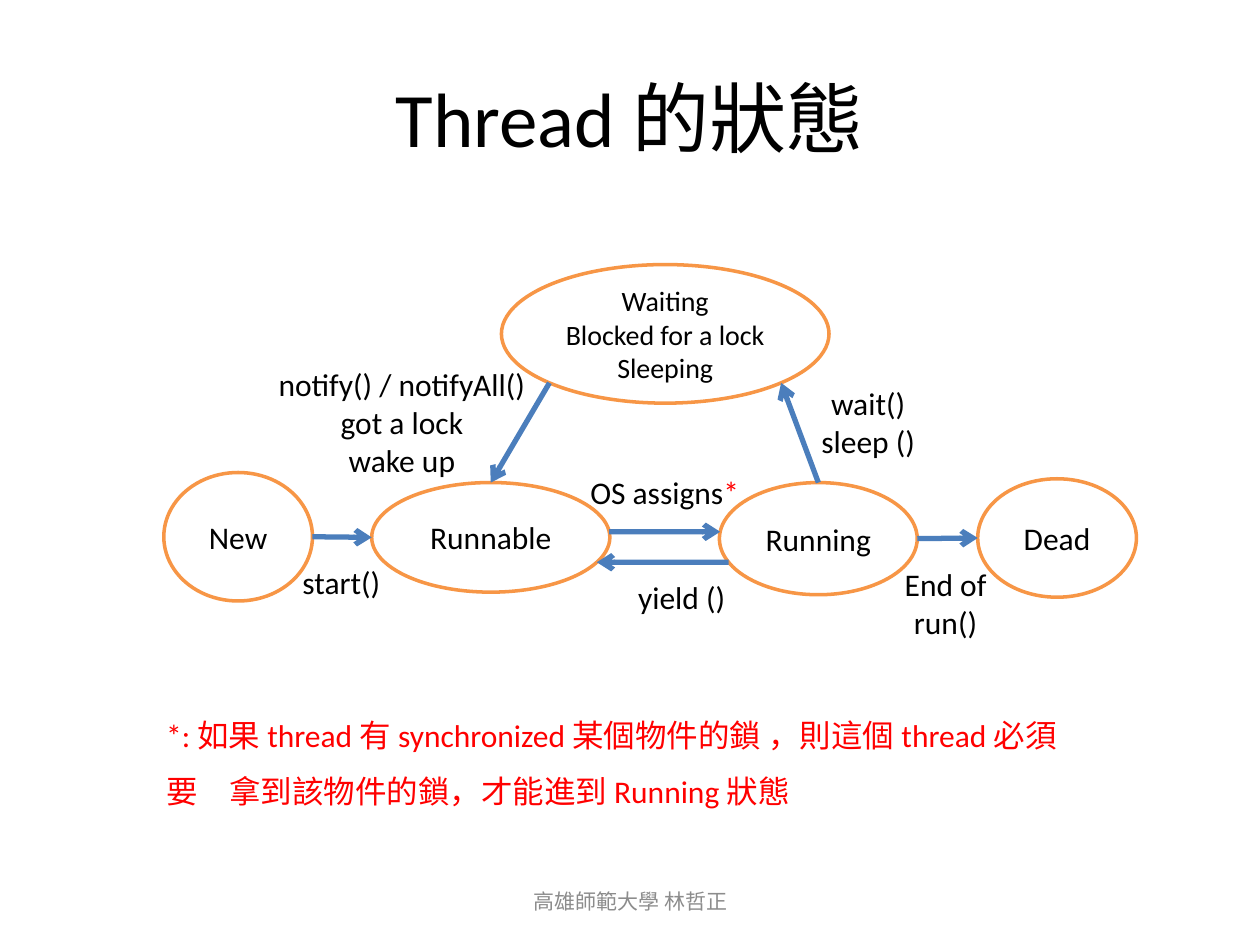
"""Build a slide showing the life cycle of a thread as a state diagram."""
import math

import lxml.etree
import pptx
import pptx.dml.color
import pptx.enum.shapes
import pptx.enum.text
import pptx.oxml.ns
import pptx.util

COLUMNS, ROWS = 100, 75
FONT = "Calibri"
COLORS = {"black": "000000", "white": "FFFFFF", "orange": "F79646",
          "blue": "4B7EBC", "red": "FF0000", "gray": "8C8C8C"}

STATES = {
    "new": ((13, 37.5, 11.8, 10.2), 18, ["New"]),
    "runnable": ((29.5, 38.3, 18.9, 8.7), 18, ["Runnable"]),
    "running": ((57.1, 38.3, 15.7, 8.9), 18, ["Running"]),
    "dead": ((77.6, 38, 12.6, 9.4), 18, ["Dead"]),
    "waiting": ((39.8, 21, 26, 11), 16, ["Waiting", "Blocked for a lock", "Sleeping"]),
}

# Each end is a state and a clockwise angle from its right-hand side.
TRANSITIONS = [
    (("running", 270), ("waiting", 45)),
    (("waiting", 135), ("runnable", 270)),
    (("new", 0), ("runnable", 180)),
    (("runnable", -6), ("running", 187)),
    (("running", 0), ("dead", 180)),
    (("running", 155), ("runnable", 27)),
]

LABELS = [
    ((5, 3, 90, 12.5), 44, [[("Thread 的狀態", "black")]]),
    ((61.8, 29.9, 14.2, 7.1), 18, [[("wait()", "black")], [("sleep ()", "black")]]),
    ((20.9, 28.8, 22, 9.4), 18, [[("notify() / notifyAll()", "black")],
                                 [("got a lock", "black")], [("wake up", "black")]]),
    ((22.4, 43.8, 9.4, 4.7), 18, [[("start()", "black")]]),
    ((70.7, 44.7, 8.7, 6.3), 18, [[("End of run()", "black")]]),
    ((47.4, 45, 13.4, 4.7), 18, [[("yield ()", "black")]]),
    ((44.5, 36.7, 16.5, 4.7), 18, [[("OS assigns", "black"), ("*", "red")]]),
    ((34.2, 69.5, 31.7, 4), 12, [[("高雄師範大學 林哲正", "gray")]]),
]

NOTE = ((12.2, 54.8, 76.4, 9.6), 18, [[(
    "*: 如果 thread 有 synchronized 某個物件的鎖 ，則這個 thread 必須要　拿到該物件的鎖，才能進到 Running 狀態",
    "red")]])


def rgb(name):
    """Return a named colour."""
    return pptx.dml.color.RGBColor.from_string(COLORS[name])


def to_slide(presentation, box):
    """Convert grid columns and rows to slide lengths."""
    units = (presentation.slide_width / COLUMNS, presentation.slide_height / ROWS)
    return [round(value * units[index % 2]) for index, value in enumerate(box)]


def write(shape, size, lines, centered=True, spacing=1.0):
    """Write lines of coloured runs into a shape."""
    frame = shape.text_frame
    frame.word_wrap = True
    anchor, align = pptx.enum.text.MSO_ANCHOR, pptx.enum.text.PP_ALIGN
    frame.vertical_anchor = anchor.MIDDLE if centered else anchor.TOP
    for index, line in enumerate(lines):
        paragraph = frame.add_paragraph() if index else frame.paragraphs[0]
        paragraph.alignment = align.CENTER if centered else align.LEFT
        paragraph.line_spacing = spacing
        for text, color in line:
            run = paragraph.add_run()
            run.text = text
            run.font.name = FONT
            run.font.size = pptx.util.Pt(size)
            run.font.color.rgb = rgb(color)


def add_state(presentation, slide, box, size, lines):
    """Draw one state as an outlined ellipse."""
    shape = slide.shapes.add_shape(
        pptx.enum.shapes.MSO_SHAPE.OVAL, *to_slide(presentation, box))
    shape.shadow.inherit = False
    shape.fill.solid()
    shape.fill.fore_color.rgb = rgb("white")
    shape.line.color.rgb = rgb("orange")
    shape.line.width = pptx.util.Pt(2)
    write(shape, size, [[(line, "black")] for line in lines])


def edge_point(state, angle):
    """Find the grid point on a state's outline at an angle in degrees."""
    left, top, width, height = STATES[state][0]
    turn = math.radians(angle)
    return (left + width / 2 * (1 + math.cos(turn)),
            top + height / 2 * (1 + math.sin(turn)))


def add_transition(presentation, slide, start, end):
    """Draw an arrow between two points on state outlines."""
    points = edge_point(*start) + edge_point(*end)
    connector = slide.shapes.add_connector(
        pptx.enum.shapes.MSO_CONNECTOR.STRAIGHT, *to_slide(presentation, points))
    connector.line.color.rgb = rgb("blue")
    connector.line.width = pptx.util.Pt(3)
    tag = pptx.oxml.ns.qn
    lxml.etree.SubElement(connector.line._get_or_add_ln(), tag("a:tailEnd"), type="arrow")
    lxml.etree.SubElement(connector._element.spPr, tag("a:effectLst"))


def add_label(presentation, slide, box, size, lines, **style):
    """Add a text box."""
    shape = slide.shapes.add_textbox(*to_slide(presentation, box))
    write(shape, size, lines, **style)


def main():
    """Build and save the presentation."""
    presentation = pptx.Presentation()
    presentation.slide_width = pptx.util.Inches(10)
    presentation.slide_height = pptx.util.Inches(7.5)
    slide = presentation.slides.add_slide(presentation.slide_layouts[6])
    for state in STATES.values():
        add_state(presentation, slide, *state)
    for transition in TRANSITIONS:
        add_transition(presentation, slide, *transition)
    for label in LABELS:
        add_label(presentation, slide, *label)
    add_label(presentation, slide, *NOTE, centered=False, spacing=1.5)
    presentation.save("out.pptx")


if __name__ == "__main__":
    main()
